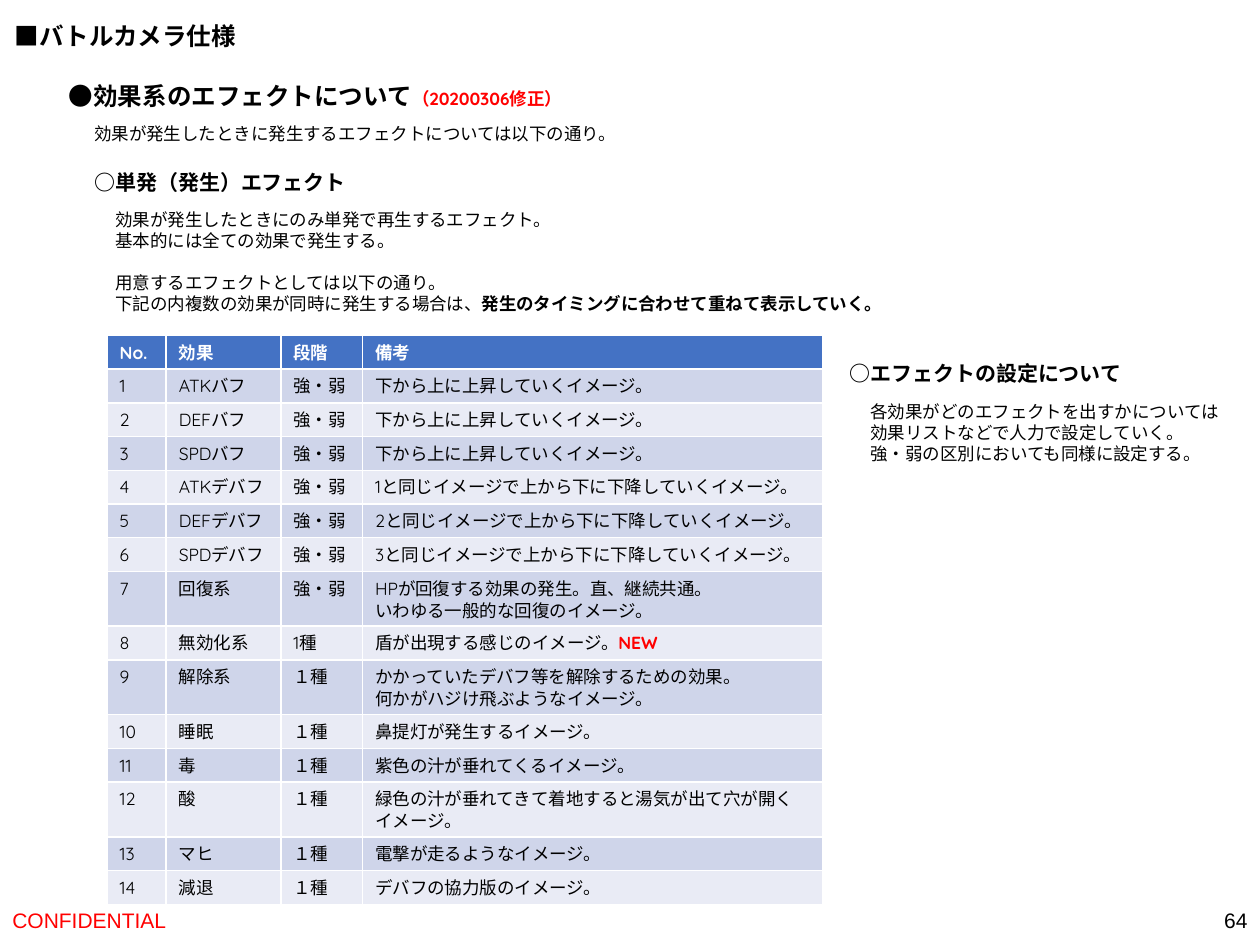
"""Build the battle camera slide that lists the one-shot status effects."""
from dataclasses import dataclass
from typing import NamedTuple

from lxml import etree
from pptx import Presentation
from pptx import util as u
from pptx.dml.color import RGBColor
from pptx.enum import text
from pptx.oxml import ns
from pptx.slide import Slide


@dataclass(frozen=True)
class Theme:
    black: str = "000000"
    white: str = "FFFFFF"
    red: str = "FF0000"
    header: str = "4472C4"
    bands: tuple[str, str] = ("CFD5EA", "E9EBF5")
    plain: str = "Arial"
    rounded: str = "Quicksand"
    title: int = 14
    heading: int = 12
    body: int = 10
    blank_line: int = 12


THEME = Theme()


class Run(NamedTuple):
    words: str
    size: int = THEME.body
    bold: bool = False
    color: str = THEME.black
    font: str = THEME.rounded


class Line(NamedTuple):
    runs: list[Run]
    space_before: int = 0


class Label(NamedTuple):
    left: float
    top: float
    width: float
    height: float
    lines: list[Line]
    right_aligned: bool = False
    footer: bool = False


class Effect(NamedTuple):
    name: str
    grade: str
    notes: list[Line]


def body(words: str, *more: Run, space_before: int = 0) -> Line:
    return Line([Run(words, font=THEME.plain), *more], space_before)


def heading(words: str, size: int, font: str = THEME.plain) -> Run:
    return Run(words, size, True, font=font)


def footer(words: str, color: str) -> list[Line]:
    return [Line([Run(words, THEME.heading, color=color, font=THEME.plain)])]


def note(*sentences: str) -> list[Line]:
    return [Line([Run(sentence)]) for sentence in sentences]


LABELS = [
    Label(0, 18.03, 8.59, 1.02, footer("CONFIDENTIAL", THEME.red), footer=True),
    Label(19.69, 18.03, 5.71, 1.02, footer("64", THEME.black), True, True),
    Label(1.14, 1.5, 10.67, 0.86, [Line([
        heading("●効果系のエフェクトについて", THEME.title, THEME.rounded),
        Run("（20200306修正）", bold=True, color=THEME.red)])]),
    Label(1.65, 2.36, 11.2, 0.69, [body("効果が発生したときに発生するエフェクトについては以下の通り。")]),
    Label(0.05, 0.3, 5, 0.86, [Line([heading("■バトルカメラ仕様", THEME.title)])]),
    Label(1.65, 3.3, 5.64, 0.76, [Line([
        heading("○単発（発生）エフェクト", THEME.heading, THEME.rounded)])]),
    Label(2.08, 4.09, 16.18, 2.39, [
        body("効果が発生したときにのみ単発で再生するエフェクト。"),
        body("基本的には全ての効果で発生する。"),
        body("用意するエフェクトとしては以下の通り。", space_before=THEME.blank_line),
        body("下記の内複数の効果が同時に発生する場合は、",
             heading("発生のタイミングに合わせて重ねて表示していく。", THEME.body))]),
    Label(16.87, 7.14, 6.07, 0.76, [Line([heading("○エフェクトの設定について", THEME.heading)])]),
    Label(17.3, 7.95, 7.65, 1.55, [
        body("各効果がどのエフェクトを出すかについては"),
        body("効果リストなどで人力で設定していく。"),
        body("強・弱の区別においても同様に設定する。")]),
]

STATS = ("ATK", "DEF", "SPD")
TWO_GRADES = "強・弱"
ONE_GRADE = "１種"
EFFECTS = [
    *(Effect(f"{stat}バフ", TWO_GRADES, note("下から上に上昇していくイメージ。")) for stat in STATS),
    *(Effect(f"{stat}デバフ", TWO_GRADES,
             note(f"{number}と同じイメージで上から下に下降していくイメージ。"))
      for number, stat in enumerate(STATS, 1)),
    Effect("回復系", TWO_GRADES,
           note("HPが回復する効果の発生。直、継続共通。", "いわゆる一般的な回復のイメージ。")),
    Effect("無効化系", "1種", [Line([
        Run("盾が出現する感じのイメージ。"), Run("NEW", bold=True, color=THEME.red)])]),
    Effect("解除系", ONE_GRADE,
           note("かかっていたデバフ等を解除するための効果。", "何かがハジけ飛ぶようなイメージ。")),
    Effect("睡眠", ONE_GRADE, note("鼻提灯が発生するイメージ。")),
    Effect("毒", ONE_GRADE, note("紫色の汁が垂れてくるイメージ。")),
    Effect("酸", ONE_GRADE, note("緑色の汁が垂れてきて着地すると湯気が出て穴が開くイメージ。")),
    Effect("マヒ", ONE_GRADE, note("電撃が走るようなイメージ。")),
    Effect("減退", ONE_GRADE, note("デバフの協力版のイメージ。")),
]
HEADINGS = ("No.", "効果", "段階", "備考")
COLUMN_WIDTHS = (1.19, 2.31, 1.65, 9.27)
ROW_HEIGHT = 0.68


def write_lines(frame, lines: list[Line], right_aligned: bool = False) -> None:
    for index, line in enumerate(lines):
        paragraph = frame.add_paragraph() if index else frame.paragraphs[0]
        paragraph.alignment = text.PP_ALIGN.RIGHT if right_aligned else text.PP_ALIGN.LEFT
        if line.space_before:
            paragraph.space_before = u.Pt(line.space_before)
        for part in line.runs:
            run = paragraph.add_run()
            run.text = part.words
            run.font.size = u.Pt(part.size)
            run.font.bold = part.bold
            run.font.color.rgb = RGBColor.from_string(part.color)
            run.font.name = part.font
            east_asian = etree.SubElement(run.font._element, ns.qn("a:ea"))
            east_asian.set("typeface", THEME.rounded)


def draw_label(slide: Slide, label: Label) -> None:
    box = slide.shapes.add_textbox(
        u.Cm(label.left), u.Cm(label.top), u.Cm(label.width), u.Cm(label.height))
    frame = box.text_frame
    frame.word_wrap = label.footer
    if label.footer:
        frame.vertical_anchor = text.MSO_ANCHOR.MIDDLE
    else:
        frame.auto_size = text.MSO_AUTO_SIZE.SHAPE_TO_FIT_TEXT
    write_lines(frame, label.lines, label.right_aligned)


def draw_effect_table(slide: Slide, left: float, top: float) -> None:
    rows = [[[Line([Run(name, bold=True, color=THEME.white)])] for name in HEADINGS]]
    rows += [[note(str(number)), note(effect.name), note(effect.grade), effect.notes]
             for number, effect in enumerate(EFFECTS, 1)]
    table = slide.shapes.add_table(
        len(rows), len(HEADINGS), u.Cm(left), u.Cm(top),
        u.Cm(sum(COLUMN_WIDTHS)), u.Cm(ROW_HEIGHT * len(rows))).table
    for column, width in zip(table.columns, COLUMN_WIDTHS):
        column.width = u.Cm(width)
    for row_index, contents in enumerate(rows):
        table.rows[row_index].height = u.Cm(ROW_HEIGHT)
        fill = THEME.bands[(row_index - 1) % 2] if row_index else THEME.header
        for column_index, lines in enumerate(contents):
            cell = table.cell(row_index, column_index)
            cell.fill.solid()
            cell.fill.fore_color.rgb = RGBColor.from_string(fill)
            write_lines(cell.text_frame, lines)


def main() -> None:
    presentation = Presentation()
    presentation.slide_width, presentation.slide_height = u.Cm(25.4), u.Cm(19.05)
    slide = presentation.slides.add_slide(presentation.slide_layouts[6])
    for label in LABELS:
        draw_label(slide, label)
    draw_effect_table(slide, 2.16, 6.76)
    presentation.save("out.pptx")


if __name__ == "__main__":
    main()
